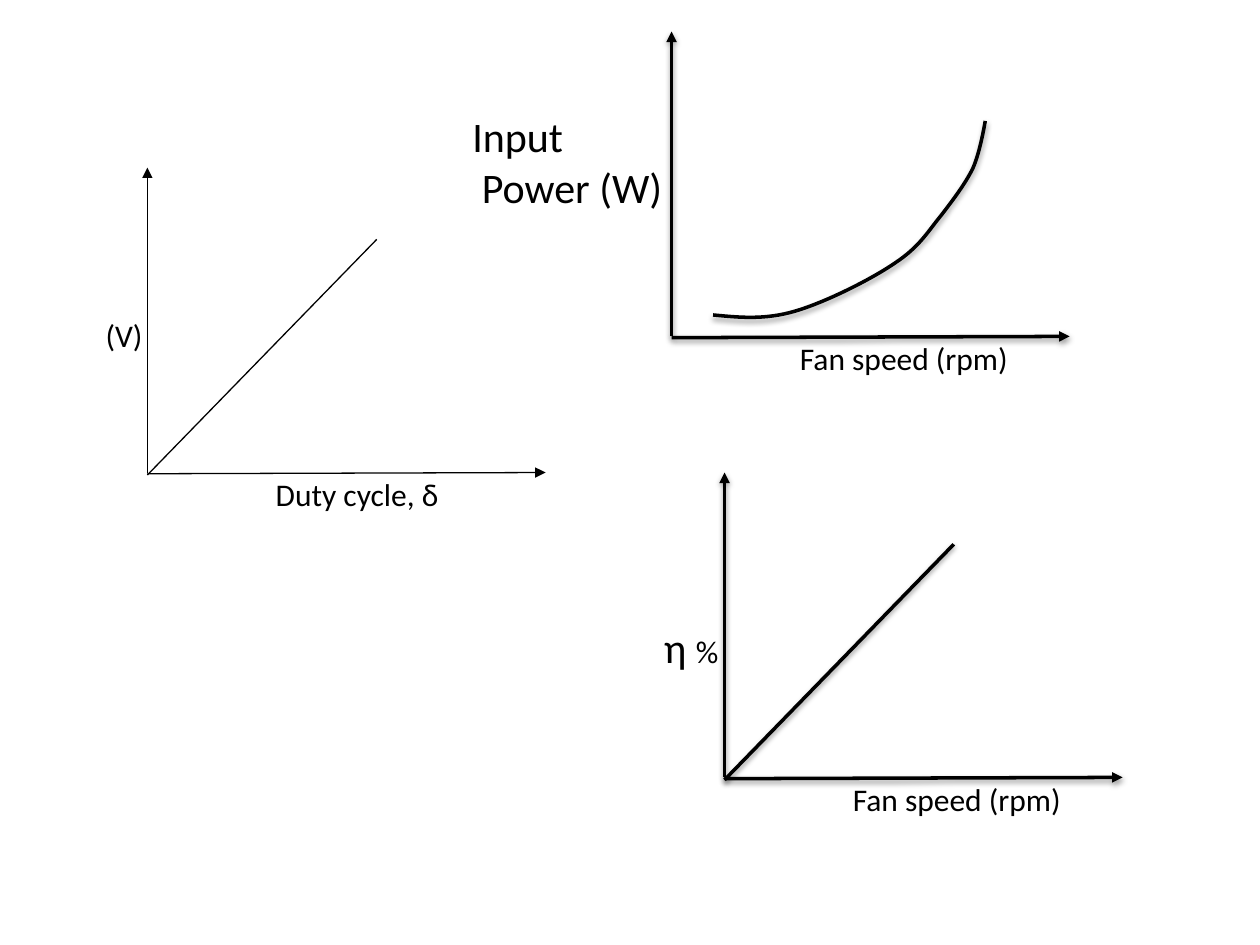
from dataclasses import dataclass
from typing import Optional

from lxml.etree import SubElement
from pptx import Presentation
from pptx.dml.color import RGBColor
from pptx.enum.shapes import MSO_CONNECTOR
from pptx.enum.text import MSO_AUTO_SIZE
from pptx.oxml.ns import qn
from pptx.util import Inches, Pt


@dataclass(frozen=True)
class Theme:
    font: str = "Calibri"
    ink: RGBColor = RGBColor(0, 0, 0)
    label: int = 18
    large: int = 24
    thin: float = 0.75
    thick: float = 2


@dataclass(frozen=True)
class Label:
    lines: tuple
    x: float
    y: float
    w: float
    h: float
    wrap: bool = True


@dataclass(frozen=True)
class Plot:
    x: float
    y: float
    x_label: str
    x_label_width: float
    y_label: Label
    width: float
    shadow: bool
    curve: Optional[tuple] = None


THEME = Theme()

POWER_CURVE = (
    (5.66, 2.5),
    (5.87, 2.52), (6.07, 2.54), (6.31, 2.47),
    (6.55, 2.4), (6.91, 2.22), (7.1, 2.09),
    (7.3, 1.96), (7.37, 1.83), (7.47, 1.71),
    (7.57, 1.58), (7.66, 1.46), (7.72, 1.34),
    (7.78, 1.21), (7.82, 0.96), (7.82, 0.96),
)

PLOTS = (
    Plot(1.17, 3.75, "Duty cycle, δ", 1.57,
         Label(((("(V)", THEME.label),),), 0.74, 2.46, 0.54, 0.4),
         THEME.thin, False),
    Plot(5.75, 6.17, "Fan speed (rpm)", 1.87,
         Label(((("η ", THEME.large), ("%", THEME.label)),), 5.17, 4.88, 0.69, 0.5),
         THEME.thick, True),
    Plot(5.33, 2.67, "Fan speed (rpm)", 1.87,
         Label(((("Input", THEME.large),), ((" Power (W)", THEME.large),)),
               3.65, 0.83, 1.92, 0.91),
         THEME.thick, True, POWER_CURVE),
)


def style_stroke(sp, plot: Plot) -> None:
    sp.line.color.rgb = THEME.ink
    sp.line.width = Pt(plot.width)
    effects = SubElement(sp._element.spPr, qn("a:effectLst"))
    if plot.shadow:
        shadow = SubElement(effects, qn("a:outerShdw"), blurRad=str(Pt(3.1)),
                            dist=str(Pt(1.6)), dir="5400000", rotWithShape="0")
        color = SubElement(shadow, qn("a:srgbClr"), val=str(THEME.ink))
        SubElement(color, qn("a:alpha"), val="38000")


def add_line(shapes, plot: Plot, start: tuple, end: tuple, arrow: bool = False) -> None:
    (x1, y1), (x2, y2) = start, end
    sp = shapes.add_connector(
        MSO_CONNECTOR.STRAIGHT,
        Inches(plot.x + x1), Inches(plot.y + y1),
        Inches(plot.x + x2), Inches(plot.y + y2))
    style_stroke(sp, plot)
    if arrow:
        SubElement(sp.line._get_or_add_ln(), qn("a:tailEnd"), type="triangle")


def add_curve(shapes, plot: Plot) -> None:
    start, *points = plot.curve
    builder = shapes.build_freeform(Inches(start[0]), Inches(start[1]))
    builder.add_line_segments([(Inches(x), Inches(y)) for x, y in points], close=False)
    sp = builder.convert_to_shape()
    segments = list(sp._element.iter(qn("a:lnTo")))
    outline = segments[0].getparent()
    for i in range(0, len(segments), 3):
        bezier = SubElement(outline, qn("a:cubicBezTo"))
        for segment in segments[i:i + 3]:
            bezier.append(segment[0])
            outline.remove(segment)
    sp.fill.background()
    style_stroke(sp, plot)


def add_label(shapes, label: Label) -> None:
    box = shapes.add_textbox(Inches(label.x), Inches(label.y),
                             Inches(label.w), Inches(label.h))
    tf = box.text_frame
    tf.word_wrap = label.wrap
    tf.auto_size = MSO_AUTO_SIZE.SHAPE_TO_FIT_TEXT
    for i, line in enumerate(label.lines):
        p = tf.add_paragraph() if i else tf.paragraphs[0]
        p.font.name = THEME.font
        p.font.color.rgb = THEME.ink
        p.font.size = Pt(line[0][1])
        for text, size in line:
            r = p.add_run()
            r.text = text
            if size != line[0][1]:
                r.font.size = Pt(size)


def add_plot(s, plot: Plot) -> None:
    shapes = s.shapes.add_group_shape().shapes
    if not plot.curve:
        add_line(shapes, plot, (0, 0.02), (1.82, -1.85))
    add_line(shapes, plot, (0, 0), (0, -2.42), arrow=True)
    add_line(shapes, plot, (0, 0.01), (3.16, 0), arrow=True)
    add_label(shapes, Label((((plot.x_label, THEME.label),),), plot.x + 0.92,
                            plot.y - 0.03, plot.x_label_width, 0.4, wrap=False))
    add_label(shapes, plot.y_label)
    if plot.curve:
        add_curve(shapes, plot)


def main() -> None:
    prs = Presentation()
    prs.slide_width, prs.slide_height = Inches(10), Inches(7.5)
    s = prs.slides.add_slide(prs.slide_layouts[6])
    for plot in PLOTS:
        add_plot(s, plot)
    prs.save("out.pptx")


if __name__ == "__main__":
    main()
